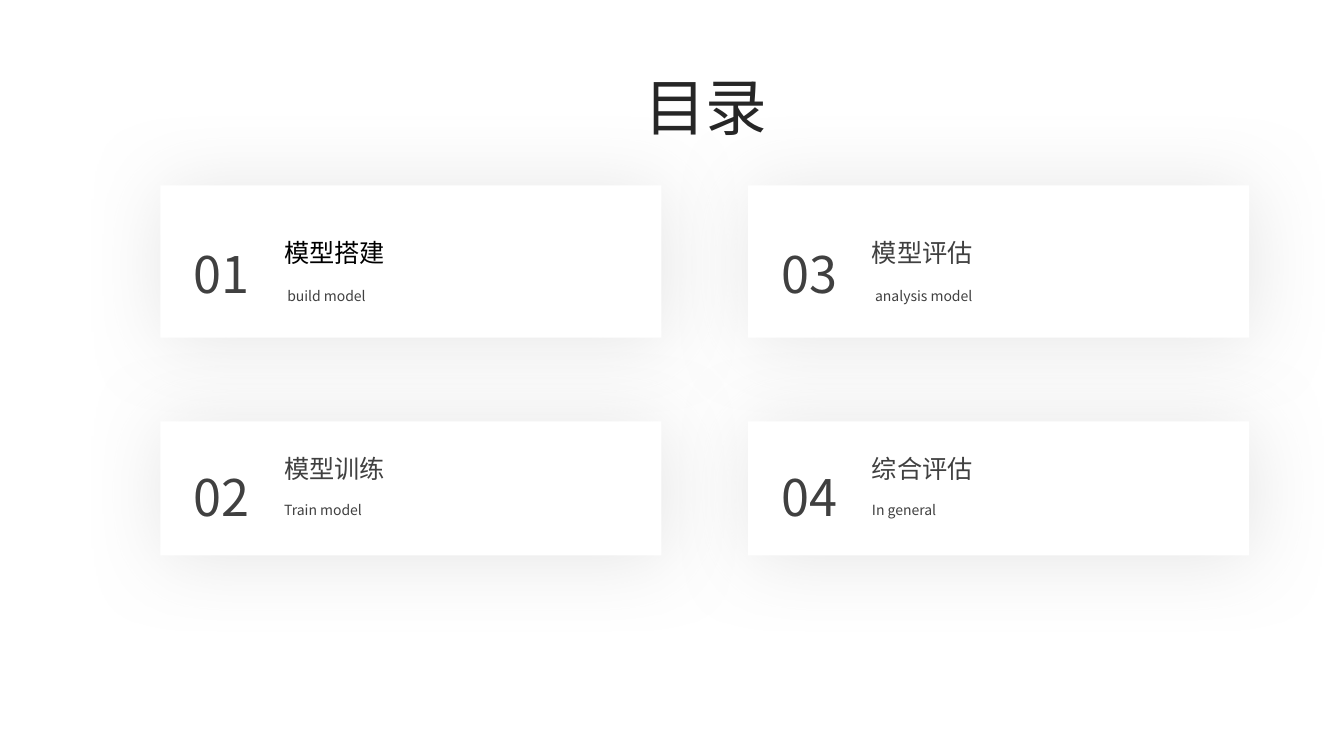
from dataclasses import dataclass

from lxml import etree
from pptx import Presentation
from pptx.dml.color import RGBColor
from pptx.enum import shapes, text
from pptx.oxml import ns
from pptx.slide import Slide
from pptx.util import Inches, Pt


@dataclass(frozen=True)
class Theme:
    """Colours, font and type sizes of the slide."""

    font: str = "Noto Sans CJK SC"
    card: str = "FFFFFF"
    shadow: str = "BFBFBF"
    title: str = "262626"
    body: str = "404040"
    active: str = "000000"
    title_size: int = 44
    number_size: int = 36
    heading_size: int = 18
    caption_size: int = 10


@dataclass(frozen=True)
class Row:
    """Vertical places of the parts of a card, in inches."""

    top: float
    height: float
    number_top: float
    heading_top: float
    caption_top: float


@dataclass(frozen=True)
class Entry:
    """One item of the contents."""

    heading: str
    caption: str
    color: str


THEME = Theme()
COLUMNS = (1.59, 7.42)
CARD_WIDTH = 4.97
TEXT_INDENT = 1.13
ROWS = (
    Row(1.84, 1.51, 2.36, 2.31, 2.8),
    Row(4.18, 1.33, 4.58, 4.45, 4.93),
)
ENTRIES = (
    Entry("模型搭建", " build model", THEME.active),
    Entry("模型训练", "Train model", THEME.body),
    Entry("模型评估", " analysis model", THEME.body),
    Entry("综合评估", "In general", THEME.body),
)


def add_text(
    slide: Slide,
    content: str,
    *,
    left: float,
    top: float,
    width: float,
    height: float,
    size: int,
    color: str = THEME.body,
    align: text.PP_ALIGN = text.PP_ALIGN.LEFT,
) -> None:
    """Add a one-line text box."""
    shape = slide.shapes.add_textbox(Inches(left), Inches(top), Inches(width), Inches(height))
    frame = shape.text_frame
    frame.word_wrap = True
    frame.auto_size = text.MSO_AUTO_SIZE.SHAPE_TO_FIT_TEXT
    paragraph = frame.paragraphs[0]
    paragraph.alignment = align
    run = paragraph.add_run()
    run.text = content
    run.font.size = Pt(size)
    run.font.name = THEME.font
    run.font.color.rgb = RGBColor.from_string(color)
    east_asian = etree.SubElement(run.font._element, ns.qn("a:ea"))
    east_asian.set("typeface", THEME.font)


def add_panel(slide: Slide, left: float, row: Row) -> None:
    """Add a white card with a soft shadow."""
    shape = slide.shapes.add_shape(
        shapes.MSO_SHAPE.RECTANGLE,
        Inches(left), Inches(row.top), Inches(CARD_WIDTH), Inches(row.height),
    )
    shape.fill.solid()
    shape.fill.fore_color.rgb = RGBColor.from_string(THEME.card)
    shape.line.fill.background()
    shape.shadow.inherit = False
    effects = shape._element.spPr.find(ns.qn("a:effectLst"))
    shadow = etree.SubElement(
        effects, ns.qn("a:outerShdw"),
        blurRad=str(int(Pt(57))), dist=str(int(Pt(3))), dir=str(45 * 60000),
        algn="tl", rotWithShape="0",
    )
    color = etree.SubElement(shadow, ns.qn("a:srgbClr"), val=THEME.shadow)
    etree.SubElement(color, ns.qn("a:alpha"), val="40000")


def add_card(slide: Slide, number: int, entry: Entry, left: float, row: Row) -> None:
    """Add a numbered card with its heading and caption."""
    add_panel(slide, left, row)
    add_text(slide, f"{number:02d}", left=left, top=row.number_top, width=0.98, height=0.7,
             size=THEME.number_size, align=text.PP_ALIGN.RIGHT)
    text_left = left + TEXT_INDENT
    add_text(slide, entry.heading, left=text_left, top=row.heading_top, width=3.59, height=0.4,
             size=THEME.heading_size, color=entry.color)
    add_text(slide, entry.caption, left=text_left, top=row.caption_top, width=3.59, height=0.26,
             size=THEME.caption_size)


def main() -> None:
    """Build the contents slide and save it."""
    presentation = Presentation()
    presentation.slide_width = Inches(13.33)
    presentation.slide_height = Inches(7.5)
    slide = presentation.slides.add_slide(presentation.slide_layouts[6])
    add_text(slide, "目录", left=5.89, top=0.63, width=2.22, height=0.83,
             size=THEME.title_size, color=THEME.title, align=text.PP_ALIGN.CENTER)
    for index, entry in enumerate(ENTRIES):
        column, row = divmod(index, len(ROWS))
        add_card(slide, index + 1, entry, COLUMNS[column], ROWS[row])
    presentation.save("out.pptx")


if __name__ == "__main__":
    main()
